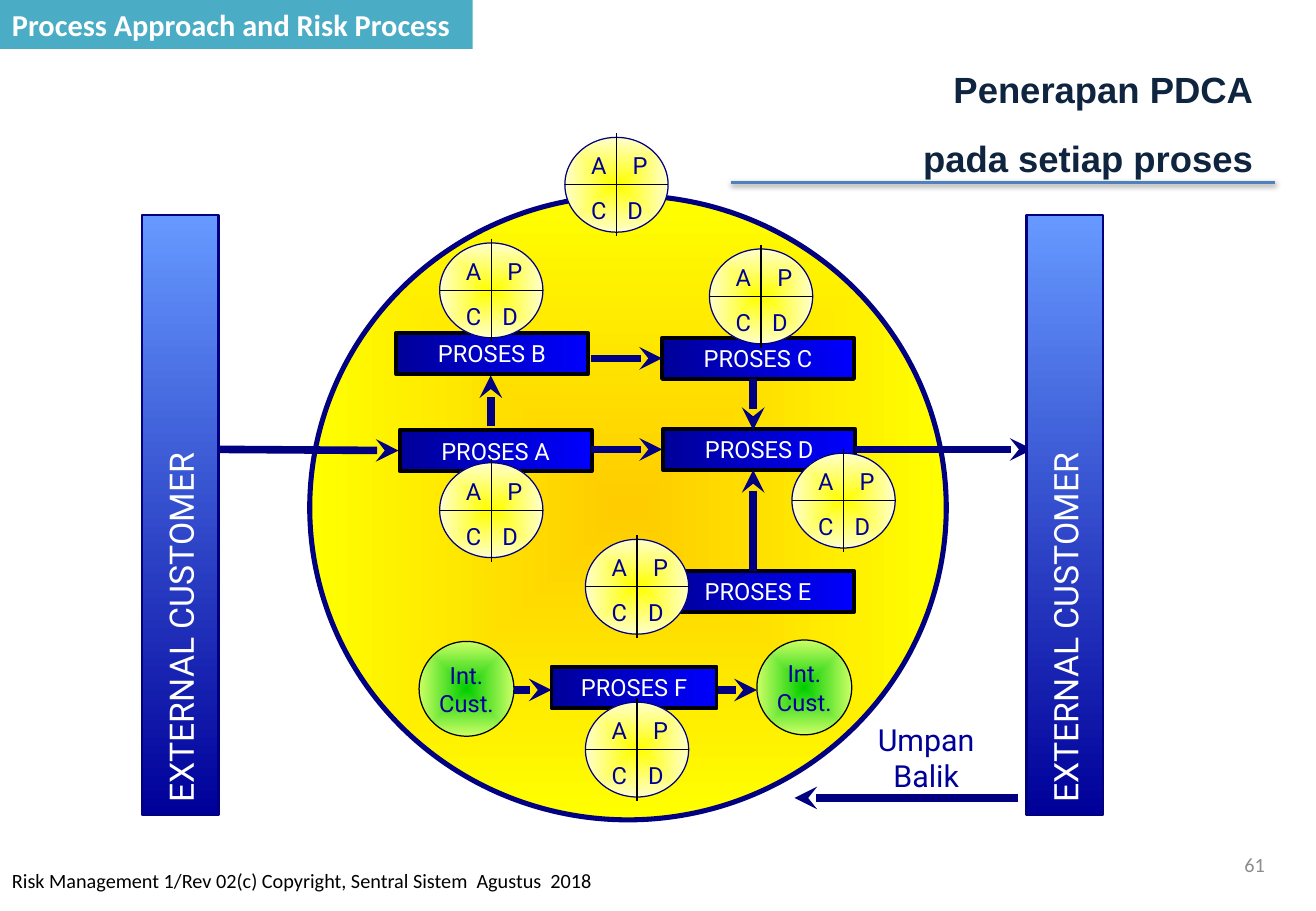
from lxml.etree import SubElement
from pptx import Presentation
from pptx.dml.color import RGBColor
from pptx.enum.shapes import MSO_CONNECTOR, MSO_SHAPE
from pptx.enum.text import MSO_ANCHOR, PP_ALIGN
from pptx.oxml.ns import qn
from pptx.util import Pt

WHITE = RGBColor(0xFF, 0xFF, 0xFF)
BLACK = RGBColor(0, 0, 0)
NAVY = RGBColor(0, 0, 0x80)
INK = RGBColor(0, 0, 0x99)
BLUE = RGBColor(0, 0, 0xFF)
SKY = RGBColor(0x66, 0x99, 0xFF)
GOLD = RGBColor(0xFF, 0xCC, 0)
YELLOW = RGBColor(0xFF, 0xFF, 0)
CREAM = RGBColor(0xFF, 0xFF, 0xCC)
GREEN = RGBColor(0, 0xCC, 0)
LIME = RGBColor(0xCC, 0xFF, 0x66)
TEAL = RGBColor(0x4B, 0xAC, 0xC6)
STEEL = RGBColor(0x4F, 0x81, 0xBD)
DARK = RGBColor(0x0F, 0x24, 0x3E)
GREY = RGBColor(0x8C, 0x8C, 0x8C)

HEADER = "Process Approach and Risk Process"
TITLE = "Penerapan PDCA\vpada setiap proses"
FOOTER = "Risk Management 1/Rev 02(c) Copyright, Sentral Sistem  Agustus  2018"
PAGE = "61"
LOOP = "Umpan Balik"
PILLAR = "EXTERNAL CUSTOMER"
INNER = "Int.\nCust."

STEPS = [
    ("PROSES A", 236.9, 254.9, 113.8),
    ("PROSES B", 234.7, 197.3, 113.8),
    ("PROSES C", 392.4, 200.2, 113.8),
    ("PROSES D", 393.1, 254.2, 113.8),
    ("PROSES E", 392.4, 338.4, 113.8),
    ("PROSES F", 326.9, 395.3, 97.9),
]
ARROWS = [
    (129.6, 266.4, 236.2, 267.1),
    (290.9, 252.7, 290.9, 222.5),
    (350.6, 212.4, 392.4, 212.4),
    (350.6, 266.4, 392.4, 266.4),
    (446.4, 224.6, 446.4, 254.9),
    (446.4, 338.4, 446.4, 278.6),
    (506.9, 266.4, 612, 266.4),
    (304.6, 409, 326.9, 409),
    (425.5, 409, 448.6, 409),
    (603.4, 473, 470.9, 473),
]
WHEELS = [(334.8, 81.4), (260.6, 144), (420.5, 147.6), (260.6, 274.3),
          (469.4, 268.6), (347, 319.7), (347, 416.2)]
LETTERS = [("A", 8.6, 4.3), ("P", 33.1, 4.3), ("C", 8.6, 31), ("D", 30.2, 31)]
PILLARS = [84.2, 608.4]
INNERS = [(248.4, 380.2), (448.6, 379.4)]
WHEEL_W, WHEEL_H = 61.2, 56.2

deck = Presentation()
deck.slide_width, deck.slide_height = Pt(780), Pt(540)
slide = deck.slides.add_slide(deck.slide_layouts[6])
shapes = slide.shapes


def write(shape, text, size, color, font="Roboto", align=PP_ALIGN.CENTER,
          anchor=MSO_ANCHOR.MIDDLE, wrap=False, bold=False, pad=7.2):
    frame = shape.text_frame
    frame.text = text
    frame.word_wrap = wrap
    frame.vertical_anchor = anchor
    frame.margin_left = frame.margin_right = Pt(pad)
    for line in frame.paragraphs:
        line.alignment = align
        for run in line.runs:
            run.font.size = Pt(size)
            run.font.name = font
            run.font.bold = bold
            run.font.color.rgb = color
    return frame


def label(x, y, w, h, text, size, color, **style):
    return write(shapes.add_textbox(Pt(x), Pt(y), Pt(w), Pt(h)),
                 text, size, color, **style)


def blend(shape, start, end, angle=None):
    fill = shape.fill
    fill.gradient()
    for stop, color in zip(fill.gradient_stops, (start, end)):
        stop.color.rgb = color
    if angle is not None:
        fill.gradient_angle = angle
        return
    grad = shape._element.spPr.find(qn("a:gradFill"))
    grad.remove(grad.find(qn("a:lin")))
    center = SubElement(grad, qn("a:path"), {"path": "shape"})
    SubElement(center, qn("a:fillToRect"), dict.fromkeys("ltrb", "50000"))


def block(kind, x, y, w, h, colors, edge, width, angle=None):
    shape = shapes.add_shape(kind, Pt(x), Pt(y), Pt(w), Pt(h))
    shape.shadow.inherit = False
    blend(shape, *colors, angle)
    shape.line.color.rgb = edge
    shape.line.width = Pt(width)
    return shape


def rule(x1, y1, x2, y2, color, width, head=False):
    line = shapes.add_connector(MSO_CONNECTOR.STRAIGHT,
                                Pt(x1), Pt(y1), Pt(x2), Pt(y2))
    line.line.color.rgb = color
    line.line.width = Pt(width)
    if head:
        SubElement(line.line._get_or_add_ln(), qn("a:tailEnd"), type="stealth")
    return SubElement(line._element.spPr, qn("a:effectLst"))


def wheel(x, y):
    block(MSO_SHAPE.FLOWCHART_CONNECTOR, x, y, WHEEL_W, WHEEL_H,
          (YELLOW, CREAM), NAVY, 0.75)
    half, mid_x, mid_y = WHEEL_W / 2, x + WHEEL_W / 2, y + WHEEL_H / 2
    rule(x, mid_y, x + WHEEL_W, mid_y, BLACK, 0.75)
    rule(mid_x, mid_y - half, mid_x, mid_y + half, BLACK, 0.75)
    for text, dx, dy in LETTERS:
        label(x + dx, y + dy, 23, 24.5, text, 14, INK, pad=0)


label(0, 511.2, 462, 28.8, FOOTER, 12, BLACK, font="Calibri",
      align=PP_ALIGN.LEFT, anchor=MSO_ANCHOR.TOP, wrap=True)
title = label(172.8, 35.3, 583.2, 60.5, TITLE, 21.6, DARK, font="Arial",
              align=PP_ALIGN.RIGHT, wrap=True, bold=True, pad=13.2)
title.paragraphs[0].line_spacing = 1.58

block(MSO_SHAPE.OVAL, 183.6, 115.9, 377.3, 370.1, (GOLD, YELLOW), NAVY, 3)
for x, y in INNERS:
    inner = block(MSO_SHAPE.OVAL, x, y, 56.2, 56.2, (GREEN, LIME), BLACK, 0.75)
    write(inner, INNER, 14, INK)
for text, x, y, w in STEPS:
    step = block(MSO_SHAPE.RECTANGLE, x, y, w, 24.5, (INK, BLUE), BLACK, 2.25, 0)
    write(step, text, 14, WHITE)
for ends in ARROWS:
    rule(*ends, NAVY, 4.5, True)
for x in PILLARS:
    pillar = block(MSO_SHAPE.RECTANGLE, x, 127.4, 45.4, 355.7,
                   (SKY, INK), NAVY, 1.5, 270)
    frame = write(pillar, PILLAR, 20, WHITE, align=PP_ALIGN.LEFT)
    frame.margin_bottom = Pt(7.2)
    frame._txBody.bodyPr.set("vert", "vert270")
    frame.word_wrap = True
for x, y in WHEELS:
    wheel(x, y)

label(505.4, 424.8, 87.1, 48.2, LOOP, 18, INK, wrap=True)
label(509.8, 498.2, 247, 28.8, PAGE, 12, GREY, font="Calibri",
      align=PP_ALIGN.RIGHT, wrap=True)
effects = rule(433.4, 108, 756, 108, STEEL, 2)
shade = SubElement(effects, qn("a:outerShdw"), blurRad=str(Pt(3.1)),
                   dist=str(Pt(1.6)), dir="5400000", rotWithShape="0")
tone = SubElement(shade, qn("a:srgbClr"), val=str(BLACK))
SubElement(tone, qn("a:alpha"), val="38000")

banner = shapes.add_shape(MSO_SHAPE.RECTANGLE, 0, 0, Pt(280.1), Pt(29))
banner.shadow.inherit = False
banner.fill.solid()
banner.fill.fore_color.rgb = TEAL
banner.line.fill.background()
write(banner, HEADER, 18, WHITE, font="Calibri", align=PP_ALIGN.LEFT, bold=True,
      wrap=True)

deck.save("out.pptx")
